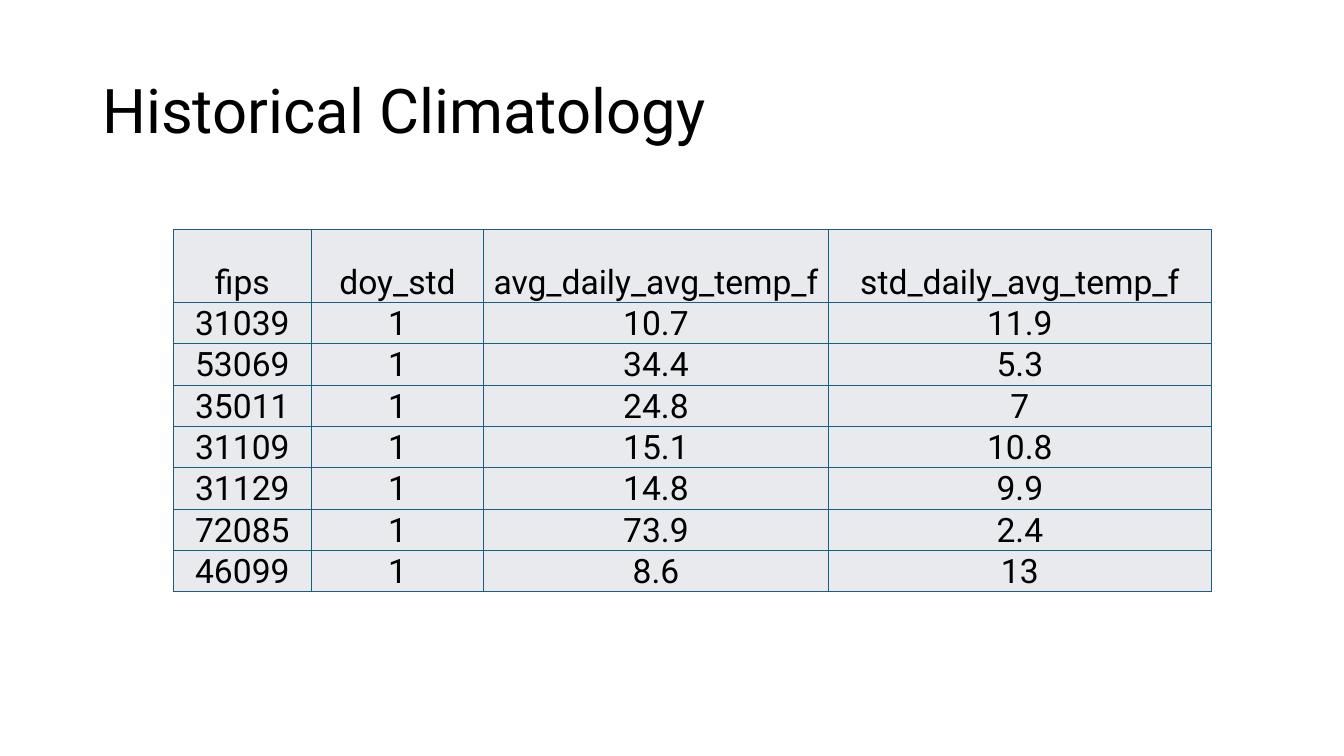
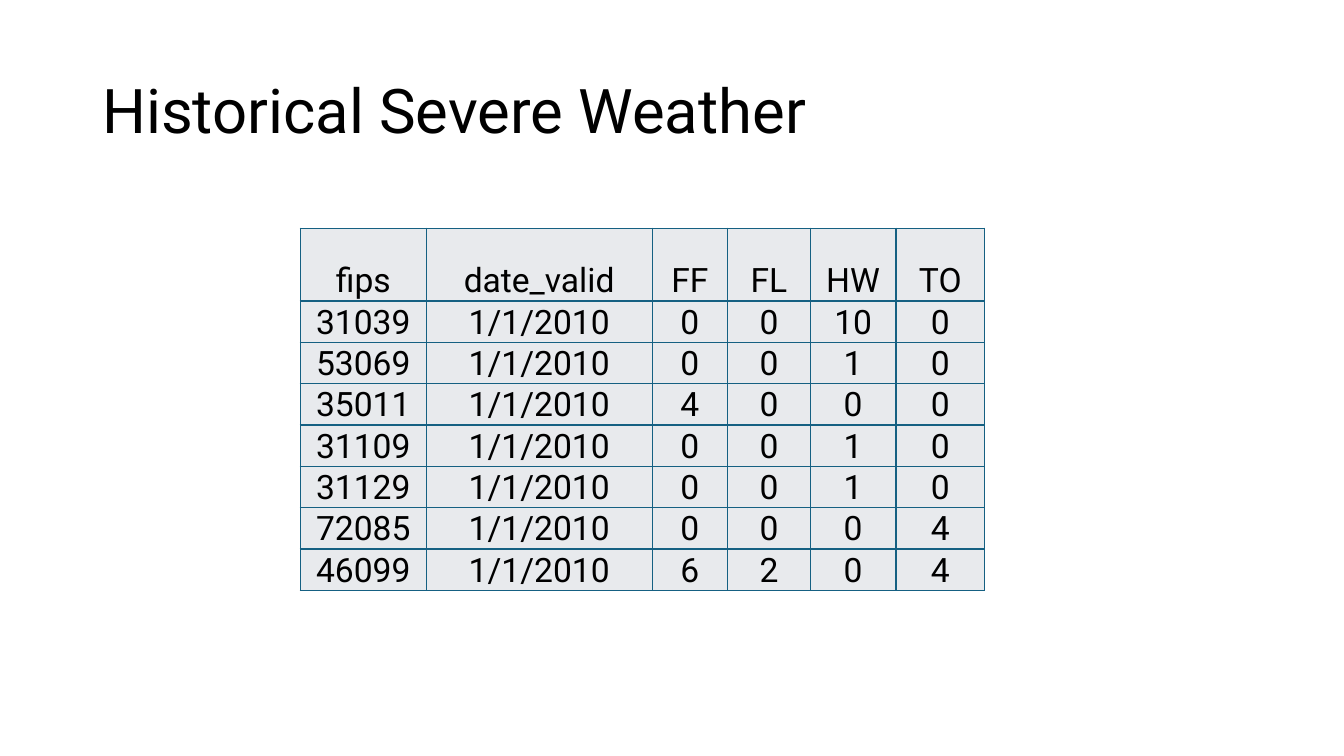
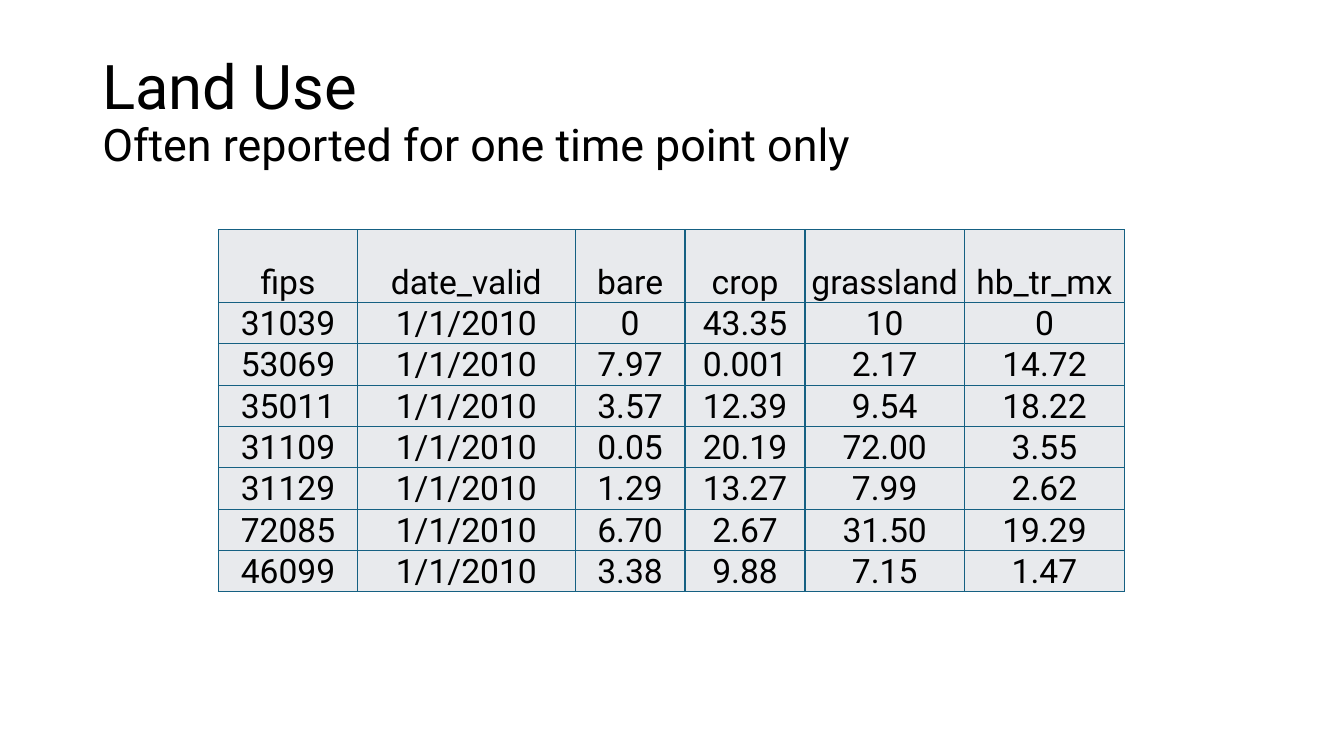
from lxml.etree import SubElement
from pptx import Presentation
from pptx.dml.color import RGBColor
from pptx.enum.text import MSO_ANCHOR, PP_ALIGN
from pptx.oxml.ns import qn
from pptx.util import Pt

FONT = "Roboto"
INK, CELL_FILL, BORDER = "000000", "E8EAED", "156082"
TITLE_BOX = (66, 28.8, 828, 104.4)
TITLE_SIZE, SUBTITLE_SIZE, CELL_SIZE = 44, 32, 24
HEADER_HEIGHT, ROW_HEIGHT = 52, 29
CELL_INSET = 0.72
FIPS = ["31039", "53069", "35011", "31109", "31129", "72085", "46099"]
DATES = ["1/1/2010"] * len(FIPS)

SLIDES = [
    {
        "title": "Historical Climatology",
        "subtitle": None,
        "corner": (123.8, 164),
        "widths": [98.6, 123.1, 246.2, 273.6],
        "columns": {
            "fips": FIPS,
            "doy_std": ["1"] * len(FIPS),
            "avg_daily_avg_temp_f": ["10.7", "34.4", "24.8", "15.1", "14.8", "73.9", "8.6"],
            "std_daily_avg_temp_f": ["11.9", "5.3", "7", "10.8", "9.9", "2.4", "13"],
        },
    },
    {
        "title": "Historical Severe Weather",
        "subtitle": None,
        "corner": (214.5, 163),
        "widths": [90, 161.3, 54, 59, 61.2, 63.4],
        "columns": {
            "fips": FIPS,
            "date_valid": DATES,
            "FF": ["0", "0", "4", "0", "0", "0", "6"],
            "FL": ["0", "0", "0", "0", "0", "0", "2"],
            "HW": ["10", "1", "0", "1", "1", "0", "0"],
            "TO": ["0", "0", "0", "0", "0", "4", "4"],
        },
    },
    {
        "title": "Land Use",
        "subtitle": "Often reported for one time point only",
        "corner": (156, 164),
        "widths": [99.4, 155.5, 78.5, 85.7, 113.8, 114.5],
        "columns": {
            "fips": FIPS,
            "date_valid": DATES,
            "bare": ["0", "7.97", "3.57", "0.05", "1.29", "6.70", "3.38"],
            "crop": ["43.35", "0.001", "12.39", "20.19", "13.27", "2.67", "9.88"],
            "grassland": ["10", "2.17", "9.54", "72.00", "7.99", "31.50", "7.15"],
            "hb_tr_mx": ["0", "14.72", "18.22", "3.55", "2.62", "19.29", "1.47"],
        },
    },
]


def color(value):
    return RGBColor.from_string(value)


def add_run(p, text, size):
    r = p.add_run()
    r.text = text
    r.font.name = FONT
    r.font.size = Pt(size)
    r.font.color.rgb = color(INK)


def add_title(s, box, title, subtitle):
    tf = s.shapes.add_textbox(*map(Pt, box)).text_frame
    tf.word_wrap = True
    tf.vertical_anchor = MSO_ANCHOR.MIDDLE
    p = tf.paragraphs[0]
    p.line_spacing = 0.9
    add_run(p, title, TITLE_SIZE)
    if subtitle:
        p.add_line_break()
        add_run(p, subtitle, SUBTITLE_SIZE)


def add_borders(cell):
    tc_pr = cell._tc.get_or_add_tcPr()
    for side in ("a:lnL", "a:lnR", "a:lnT", "a:lnB"):
        ln = SubElement(tc_pr, qn(side), w=str(Pt(1)))
        fill = SubElement(ln, qn("a:solidFill"))
        SubElement(fill, qn("a:srgbClr"), val=BORDER)


def fill_cell(cell, text):
    cell.margin_left = cell.margin_right = cell.margin_top = Pt(CELL_INSET)
    cell.margin_bottom = 0
    cell.vertical_anchor = MSO_ANCHOR.BOTTOM
    add_borders(cell)
    cell.fill.solid()
    cell.fill.fore_color.rgb = color(CELL_FILL)
    p = cell.text_frame.paragraphs[0]
    p.alignment = PP_ALIGN.CENTER
    add_run(p, text, CELL_SIZE)


def add_data_table(s, corner, widths, columns):
    heights = [HEADER_HEIGHT] + [ROW_HEIGHT] * len(FIPS)
    box = (*corner, sum(widths), sum(heights))
    table = s.shapes.add_table(len(heights), len(widths), *map(Pt, box)).table
    table.first_row = table.horz_banding = False
    for row, height in zip(table.rows, heights):
        row.height = Pt(height)
    for c, (width, (name, values)) in enumerate(zip(widths, columns.items())):
        table.columns[c].width = Pt(width)
        for r, text in enumerate([name] + values):
            fill_cell(table.cell(r, c), text)


def add_table_slide(prs, title, subtitle, corner, widths, columns):
    s = prs.slides.add_slide(prs.slide_layouts[6])
    add_title(s, TITLE_BOX, title, subtitle)
    add_data_table(s, corner, widths, columns)


def main():
    prs = Presentation()
    prs.slide_width, prs.slide_height = Pt(960), Pt(540)
    for content in SLIDES:
        add_table_slide(prs, **content)
    prs.save("out.pptx")


if __name__ == "__main__":
    main()
